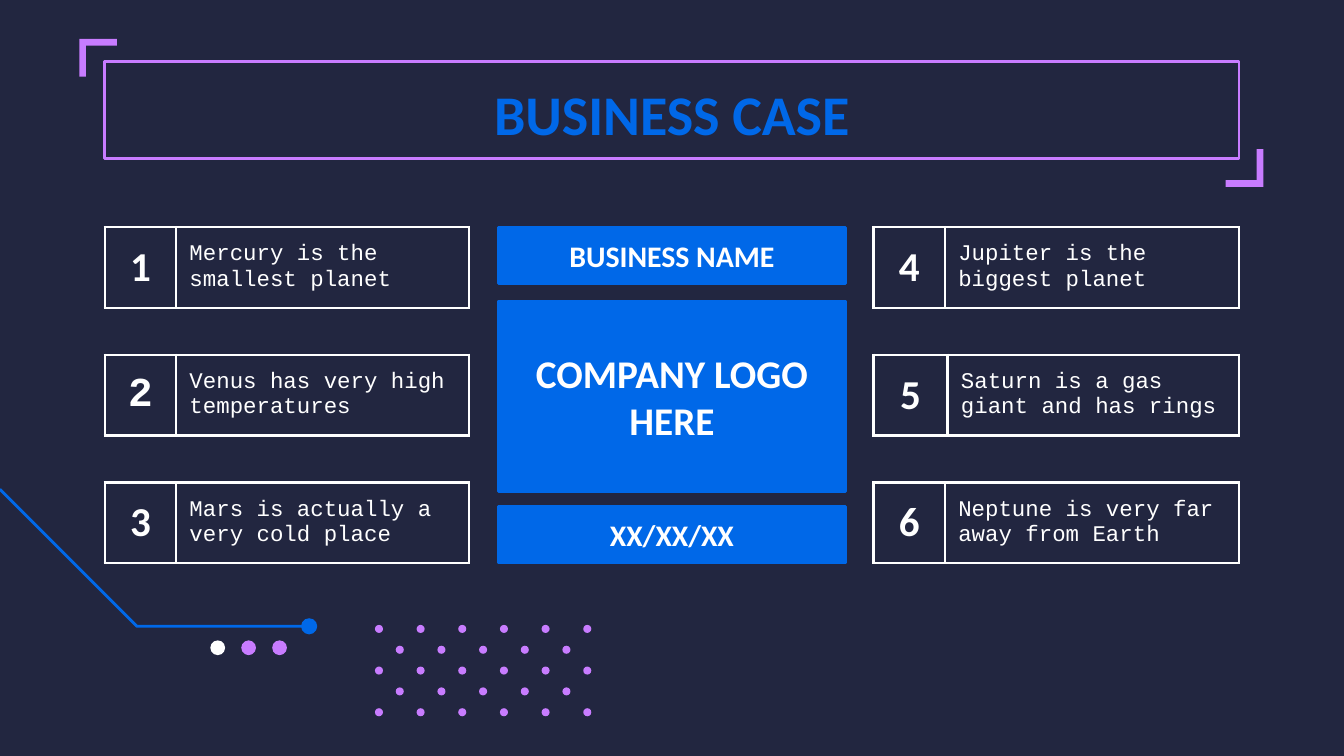
from dataclasses import dataclass

from lxml import etree
from pptx import Presentation
from pptx.dml.color import RGBColor
from pptx.enum.shapes import MSO_SHAPE
from pptx.enum.text import MSO_ANCHOR, PP_ALIGN
from pptx.oxml.ns import qn
from pptx.util import Inches, Pt

RECT, OVAL = MSO_SHAPE.RECTANGLE, MSO_SHAPE.OVAL
TOP, MIDDLE = MSO_ANCHOR.TOP, MSO_ANCHOR.MIDDLE
LEFT, CENTER = PP_ALIGN.LEFT, PP_ALIGN.CENTER


@dataclass(frozen=True)
class Theme:
    navy: str = "222640"
    blue: str = "0068E8"
    purple: str = "C87CFF"
    white: str = "FFFFFF"
    heading_font: str = "Calibri"
    body_font: str = "Courier New"
    title_size: int = 30
    number_size: int = 22
    logo_size: int = 21
    label_size: int = 16
    body_size: int = 12
    line_width: float = 1.5
    inset: float = 0.1


THEME = Theme()


def rgb(color):
    return RGBColor.from_string(color)


def paint(shape, fill=None, line=None):
    shape.shadow.inherit = False
    if fill:
        shape.fill.solid()
        shape.fill.fore_color.rgb = rgb(fill)
    else:
        shape.fill.background()
    if line:
        shape.line.color.rgb = rgb(line)
        shape.line.width = Pt(THEME.line_width)
    else:
        shape.line.fill.background()


def write(frame, text, size, color=THEME.white, font=THEME.heading_font,
          bold=True, align=CENTER):
    frame.text = text
    para = frame.paragraphs[0]
    para.alignment = align
    style = para.runs[0].font
    style.name, style.size, style.bold = font, Pt(size), bold
    style.color.rgb = rgb(color)


def set_frame(frame, anchor):
    frame.word_wrap = True
    frame.vertical_anchor = anchor
    frame.margin_left = frame.margin_right = Inches(THEME.inset)
    frame.margin_top = frame.margin_bottom = Inches(THEME.inset)


def add_dot(page, x, y, diameter, color):
    """Place a dot centred on x, y."""
    dot = page.shapes.add_shape(OVAL, Inches(x - diameter / 2), Inches(y - diameter / 2),
                                Inches(diameter), Inches(diameter))
    paint(dot, fill=color)


def add_outline(page, points, close):
    corners = [(Inches(x), Inches(y)) for x, y in points]
    builder = page.shapes.build_freeform(*corners[0])
    builder.add_line_segments(corners[1:], close=close)
    return builder.convert_to_shape()


def add_bracket(page, x, y, step):
    """Draw a corner bracket from its outer corner; step is 1 or -1."""
    arm, thick = 0.28 * step, 0.05 * step
    offsets = [(0, arm), (0, 0), (arm, 0), (arm, thick), (thick, thick), (thick, arm)]
    bracket = add_outline(page, [(x + dx, y + dy) for dx, dy in offsets], close=True)
    paint(bracket, fill=THEME.purple)


def add_decoration(page, left, top):
    # Bent line with its end dot
    bend_x, end_x, base_y = left + 1.02, left + 2.3, top + 1.02
    line = add_outline(page, [(left, top), (bend_x, base_y), (end_x, base_y)], close=False)
    paint(line, line=THEME.blue)
    add_dot(page, end_x, base_y, 0.12, THEME.blue)

    # Three dots below the line
    for index, color in enumerate((THEME.white, THEME.purple, THEME.purple)):
        add_dot(page, left + 1.62 + index * 0.23, base_y + 0.16, 0.11, color)

    # Staggered dot pattern
    pitch = 0.31
    for row in range(5):
        shift = row % 2
        for column in range(6 - shift):
            add_dot(page, left + 2.82 + (column + shift / 2) * pitch,
                    base_y + 0.02 + row * pitch / 2, 0.06, THEME.purple)


def add_title(page, left, top, width, height, text):
    frame = page.shapes.add_shape(RECT, Inches(left), Inches(top), Inches(width), Inches(height))
    paint(frame, line=THEME.purple)
    add_bracket(page, left + width + 0.18, top + height + 0.21, -1)
    add_bracket(page, left - 0.19, top - 0.17, 1)
    box = page.shapes.add_textbox(Inches(left), Inches(top + 0.03), Inches(width), Inches(0.63))
    set_frame(box.text_frame, TOP)
    write(box.text_frame, text, THEME.title_size, THEME.blue)


def style_cell(cell):
    cell.vertical_anchor = MIDDLE
    cell.margin_left = cell.margin_right = Inches(THEME.inset)
    cell.margin_top = cell.margin_bottom = Inches(THEME.inset)
    properties = cell._tc.get_or_add_tcPr()
    for side in ("a:lnL", "a:lnR", "a:lnT", "a:lnB"):
        border = etree.SubElement(properties, qn(side), w=str(Pt(THEME.line_width)))
        fill = etree.SubElement(border, qn("a:solidFill"))
        etree.SubElement(fill, qn("a:srgbClr"), val=THEME.white)
    cell.fill.solid()
    cell.fill.fore_color.rgb = rgb(THEME.navy)


def add_fact(page, left, top, width, number, text, number_width, row_height, number_font):
    table = page.shapes.add_table(1, 2, Inches(left), Inches(top),
                                  Inches(width), Inches(0.6)).table
    table.first_row = table.horz_banding = False
    table.rows[0].height = Inches(row_height)
    table.columns[0].width = Inches(number_width)
    table.columns[1].width = Inches(width - number_width)
    number_cell, text_cell = table.cell(0, 0), table.cell(0, 1)
    for cell in (number_cell, text_cell):
        style_cell(cell)
    write(number_cell.text_frame, number, THEME.number_size, font=number_font)
    write(text_cell.text_frame, text, THEME.body_size, font=THEME.body_font,
          bold=False, align=LEFT)


def add_fact_column(page, left, top, width, facts):
    for index, fact in enumerate(facts):
        add_fact(page, left, top + index * 0.95, width, *fact)


def add_company_panel(page, left, top, width):
    blocks = [
        (0, 0.42, "BUSINESS NAME", THEME.label_size),
        (2.08, 0.42, "XX/XX/XX", THEME.label_size),
        (0.55, 1.42, "COMPANY LOGO HERE", THEME.logo_size),
    ]
    for offset, height, text, size in blocks:
        block = page.shapes.add_shape(RECT, Inches(left), Inches(top + offset),
                                      Inches(width), Inches(height))
        paint(block, fill=THEME.blue, line=THEME.blue)
        set_frame(block.text_frame, MIDDLE)
        write(block.text_frame, text, size)


def main():
    deck = Presentation()
    deck.slide_width = Inches(10)
    deck.slide_height = deck.slide_width * 9 // 16
    page = deck.slides.add_slide(deck.slide_layouts[6])
    page.background.fill.solid()
    page.background.fill.fore_color.rgb = rgb(THEME.navy)

    # Number, text, number width, row height, number font
    heading, body = THEME.heading_font, THEME.body_font
    left_facts = [
        ("1", "Mercury is the smallest planet", 0.53, 0.47, heading),
        ("2", "Venus has very high temperatures", 0.53, 0.47, body),
        ("3", "Mars is actually a very cold place", 0.53, 0.47, heading),
    ]
    right_facts = [
        ("4", "Jupiter is the biggest planet", 0.53, 0.47, heading),
        ("5", "Saturn is a gas giant and has rings", 0.55, 0.6, heading),
        ("6", "Neptune is very far away from Earth", 0.53, 0.47, heading),
    ]
    add_decoration(page, 0, 3.64)
    add_title(page, 0.78, 0.46, 8.44, 0.72, "BUSINESS CASE")
    add_fact_column(page, 0.78, 1.69, 2.71, left_facts)
    add_fact_column(page, 6.5, 1.69, 2.72, right_facts)
    add_company_panel(page, 3.71, 1.69, 2.58)
    deck.save("out.pptx")


if __name__ == "__main__":
    main()
